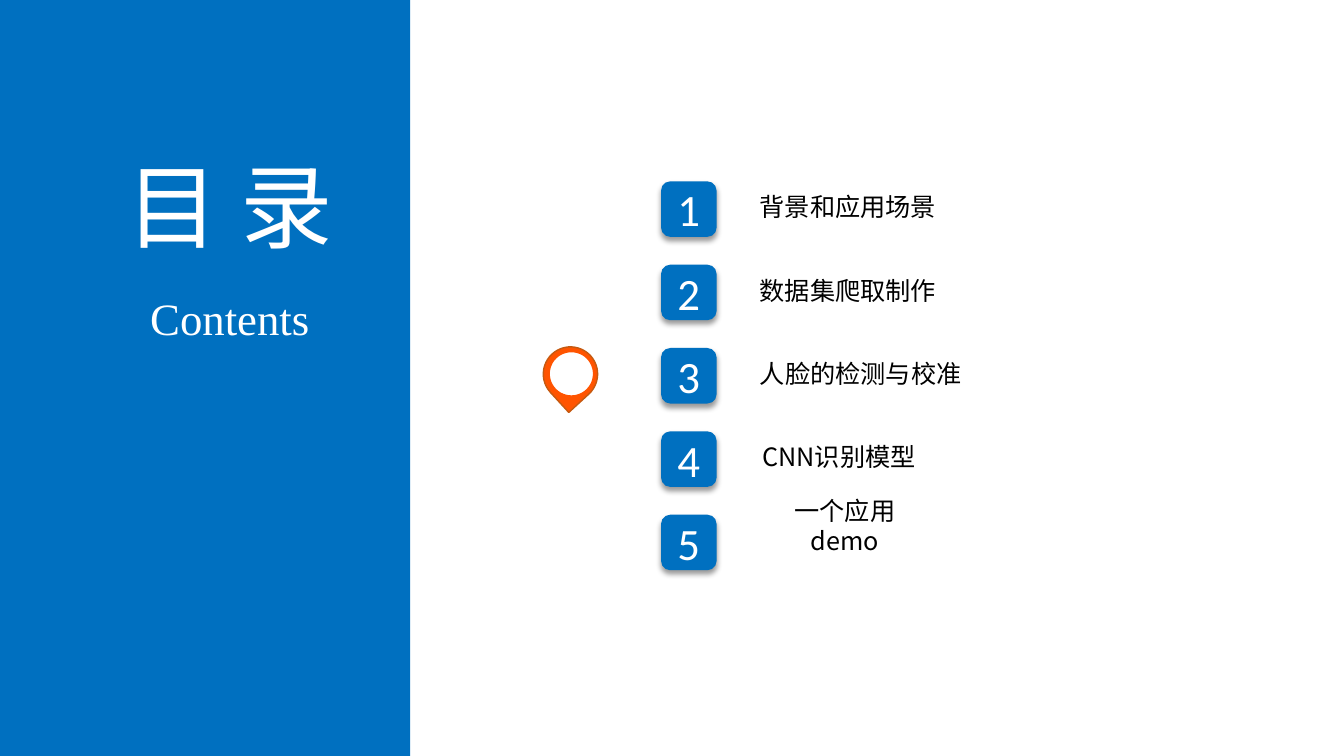
"""Build a contents slide with a blue side panel and five numbered entries."""
from typing import NamedTuple

import lxml.etree
import pptx
import pptx.dml.color
import pptx.enum.shapes
import pptx.enum.text
import pptx.oxml.ns
import pptx.shapes.autoshape
import pptx.util

Cm = pptx.util.Cm
Pt = pptx.util.Pt
RGBColor = pptx.dml.color.RGBColor
ShapeType = pptx.enum.shapes.MSO_SHAPE
Anchor = pptx.enum.text.MSO_ANCHOR
qn = pptx.oxml.ns.qn

BLUE = RGBColor(0x00, 0x70, 0xC0)
WHITE = RGBColor(0xFF, 0xFF, 0xFF)
BLACK = RGBColor(0x00, 0x00, 0x00)
ORANGE = RGBColor(0xFF, 0x54, 0x00)
BROWN = RGBColor(0xC5, 0x5A, 0x11)

CHINESE_FONT = "Noto Sans CJK SC"
SLIDE_WIDTH, SLIDE_HEIGHT = 33.87, 19.05
PANEL_WIDTH = 10.34
BADGE_LEFT, BADGE_SIZE = 16.66, 1.4
FIRST_ENTRY_TOP, ENTRY_STEP = 4.57, 2.1
LABEL_LEFT, LABEL_OFFSET, LABEL_HEIGHT = 18.87, 0.13, 1.02


class Box(NamedTuple):
    left: float
    top: float
    width: float
    height: float


class TextStyle(NamedTuple):
    font: str
    size: float
    color: RGBColor
    anchor: Anchor


class Entry(NamedTuple):
    label: str
    width: float


class Heading(NamedTuple):
    text: str
    box: Box
    style: TextStyle


BADGE_STYLE = TextStyle("Calibri", 32, WHITE, Anchor.MIDDLE)
LABEL_STYLE = TextStyle(CHINESE_FONT, 18, BLACK, Anchor.BOTTOM)

ENTRIES = [
    Entry("背景和应用场景", 5.0),
    Entry("数据集爬取制作", 5.0),
    Entry("人脸的检测与校准", 5.64),
    Entry("CNN识别模型", 4.55),
    Entry("一个应用\vdemo", 4.85),
]

HEADINGS = [
    Heading("目 录", Box(2.59, 3.63, 6.4, 3.07),
            TextStyle(CHINESE_FONT, 66, WHITE, Anchor.TOP)),
    Heading("Contents", Box(3.51, 7.21, 4.57, 1.63),
            TextStyle("Times New Roman", 32, WHITE, Anchor.TOP)),
]


def write_text(shape: pptx.shapes.autoshape.Shape, text: str, style: TextStyle) -> None:
    frame = shape.text_frame
    frame.text = text
    frame.word_wrap = False
    frame.vertical_anchor = style.anchor
    paragraph = frame.paragraphs[0]
    paragraph.alignment = pptx.enum.text.PP_ALIGN.CENTER
    for run in paragraph.runs:
        run.font.name = style.font
        run.font.size = Pt(style.size)
        run.font.color.rgb = style.color
        east_asian = lxml.etree.SubElement(run.font._element, qn("a:ea"))
        east_asian.set("typeface", style.font)


def add_filled_shape(shapes, kind: ShapeType, box: Box, fill: RGBColor,
                     line: RGBColor | None = None) -> pptx.shapes.autoshape.Shape:
    shape = shapes.add_shape(kind, *map(Cm, box))
    shape.shadow.inherit = False
    shape.fill.solid()
    shape.fill.fore_color.rgb = fill
    if line is None:
        shape.line.fill.background()
    else:
        shape.line.color.rgb = line
        shape.line.width = Pt(1)
    return shape


def add_text(shapes, text: str, box: Box, style: TextStyle) -> None:
    write_text(shapes.add_textbox(*map(Cm, box)), text, style)


def add_drop_shadow(shape: pptx.shapes.autoshape.Shape) -> None:
    effects = shape.element.spPr.find(qn("a:effectLst"))
    shadow = lxml.etree.SubElement(
        effects, qn("a:outerShdw"), blurRad=str(Pt(4)), dist=str(Pt(3)),
        dir="5400000", rotWithShape="0")
    color = lxml.etree.SubElement(shadow, qn("a:srgbClr"), val=str(BLACK))
    lxml.etree.SubElement(color, qn("a:alpha"), val="40000")


def add_entry(shapes, index: int, entry: Entry) -> None:
    top = FIRST_ENTRY_TOP + index * ENTRY_STEP
    badge = add_filled_shape(shapes, ShapeType.ROUNDED_RECTANGLE,
                             Box(BADGE_LEFT, top, BADGE_SIZE, BADGE_SIZE), BLUE)
    add_drop_shadow(badge)
    write_text(badge, str(index + 1), BADGE_STYLE)
    label_box = Box(LABEL_LEFT, top + LABEL_OFFSET, entry.width, LABEL_HEIGHT)
    add_text(shapes, entry.label, label_box, LABEL_STYLE)


def add_marker(shapes) -> None:
    marker = shapes.add_group_shape()
    pin = add_filled_shape(marker.shapes, ShapeType.TEAR,
                           Box(13.69, 8.74, 1.37, 1.37), ORANGE, BROWN)
    pin.rotation = 137.5
    add_filled_shape(marker.shapes, ShapeType.OVAL,
                     Box(13.84, 8.86, 1.12, 1.12), WHITE, ORANGE)


def main() -> None:
    presentation = pptx.Presentation()
    presentation.slide_width = Cm(SLIDE_WIDTH)
    presentation.slide_height = Cm(SLIDE_HEIGHT)
    slide = presentation.slides.add_slide(presentation.slide_layouts[6])
    for index, entry in enumerate(ENTRIES):
        add_entry(slide.shapes, index, entry)
    add_filled_shape(slide.shapes, ShapeType.RECTANGLE,
                     Box(0, 0, PANEL_WIDTH, SLIDE_HEIGHT), BLUE)
    for heading in HEADINGS:
        add_text(slide.shapes, heading.text, heading.box, heading.style)
    add_marker(slide.shapes)
    presentation.save("out.pptx")


if __name__ == "__main__":
    main()
